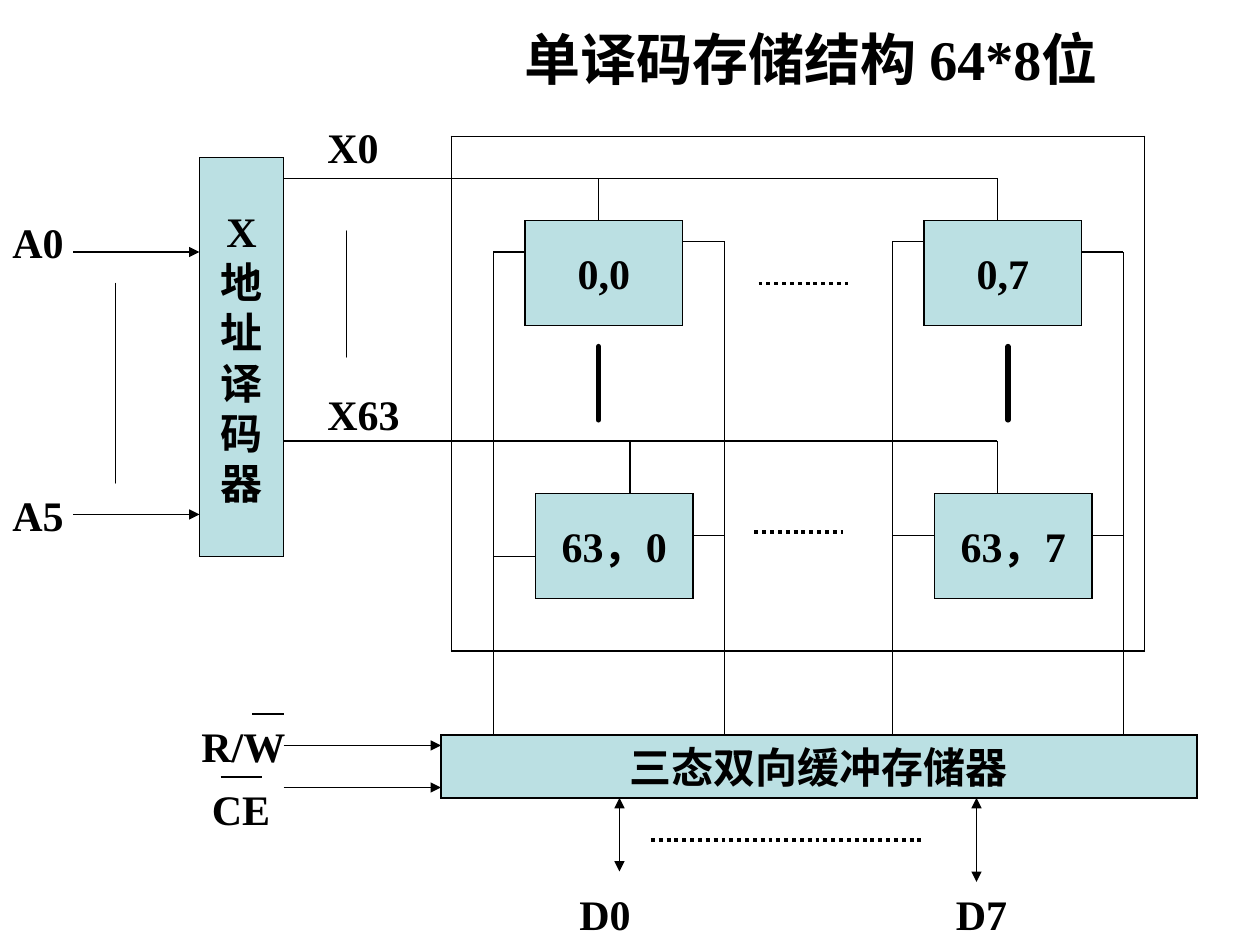
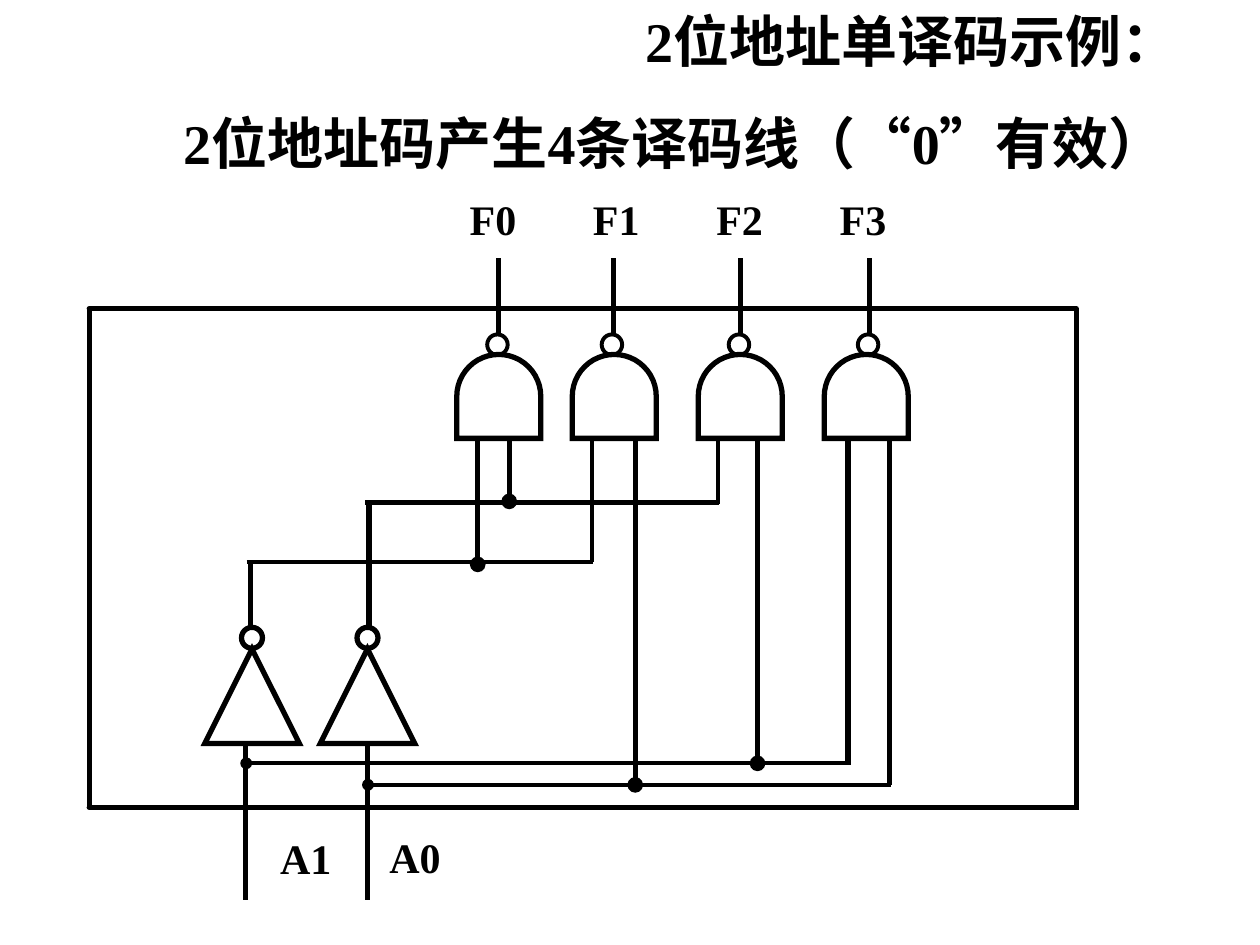
from lxml.etree import SubElement
from pptx import Presentation
from pptx.dml.color import RGBColor
from pptx.enum.lang import MSO_LANGUAGE_ID as LANGUAGE
from pptx.enum.shapes import MSO_CONNECTOR as CONNECTOR, MSO_SHAPE as SHAPE
from pptx.enum.text import MSO_ANCHOR as ANCHOR, PP_ALIGN as ALIGN
from pptx.oxml.ns import qn
from pptx.util import Cm, Pt

STEP = 2.54 / 12
INK = "000000"
PANEL = "BBE0E3"
FONT = "Times New Roman"
TITLE_SIZE = 32
LABEL_SIZE = 24
THIN, MEDIUM, THICK = 0.75, 2.25, 3


def grid(steps):
    """Turn steps of a twelfth of an inch into a length."""
    return Cm(steps * STEP)


def paint(color_format, color):
    """Apply a hex colour to a fill or font colour."""
    color_format.rgb = RGBColor.from_string(color)


def stroke(item, width, dash=None, head=None, tail=None):
    """Style an outline with a width, an optional dash and line ends."""
    item.line.fill.solid()
    paint(item.line.fill.fore_color, INK)
    item.line.width = Pt(width)
    line = item.element.spPr.find(qn("a:ln"))
    if dash == "beads":
        line.set("cap", "rnd")
        SubElement(SubElement(line, qn("a:custDash")), qn("a:ds"), d="1000", sp="1000")
    elif dash:
        SubElement(line, qn("a:prstDash"), val=dash)
    SubElement(line, qn("a:miter"), lim="800000")
    for tag, kind in (("a:headEnd", head), ("a:tailEnd", tail)):
        if kind:
            SubElement(line, qn(tag), type=kind)


def write(para, text, size):
    """Add one bold run to a paragraph."""
    span = para.add_run()
    span.text = text
    span.font.name = FONT
    span.font.size = Pt(size)
    span.font.bold = True
    span.font.language_id = LANGUAGE.SIMPLIFIED_CHINESE
    paint(span.font.color, INK)


def add_text(page, left, top, width, height, lines, size=LABEL_SIZE):
    """Add a text box from pairs of text and first-line indent."""
    box = page.shapes.add_textbox(*map(grid, (left, top, width, height)))
    frame = box.text_frame
    frame.word_wrap = True
    for number, (text, indent) in enumerate(lines):
        para = frame.add_paragraph() if number else frame.paragraphs[0]
        if number:
            para.space_before = Pt(20)
        if indent:
            para._p.get_or_add_pPr().set("indent", str(grid(indent)))
        write(para, text, size)


def add_label(page, left, top, text):
    """Add a one-line signal label."""
    add_text(page, left, top, 12, 6, [(text, 0)])


def add_outline(page, kind, left, top, width, height, weight=THICK, fill=None, dash=None):
    """Add a preset shape with an outline and an optional fill."""
    shape = page.shapes.add_shape(kind, *map(grid, (left, top, width, height)))
    shape.shadow.inherit = False
    if fill:
        shape.fill.solid()
        paint(shape.fill.fore_color, fill)
    else:
        shape.fill.background()
    stroke(shape, weight, dash)
    return shape


def add_block(page, left, top, width, height, *lines):
    """Add a filled block with centred lines of text."""
    block = add_outline(page, SHAPE.RECTANGLE, left, top, width, height, THIN, PANEL)
    frame = block.text_frame
    frame.word_wrap = False
    frame.vertical_anchor = ANCHOR.MIDDLE
    for number, text in enumerate(lines):
        para = frame.add_paragraph() if number else frame.paragraphs[0]
        para.alignment = ALIGN.CENTER
        write(para, text, LABEL_SIZE)


def add_wire(page, x1, y1, x2, y2, width=THIN, **style):
    """Draw a straight wire between two grid points."""
    wire = page.shapes.add_connector(CONNECTOR.STRAIGHT, *map(grid, (x1, y1, x2, y2)))
    stroke(wire, width, **style)
    SubElement(wire.element.spPr, qn("a:effectLst"))


def add_wires(page, wires, width=THIN, **style):
    """Draw several wires in the same style."""
    for points in wires:
        add_wire(page, *points, width, **style)


def build_storage(page):
    """Draw the single-decoder 64 by 8 storage structure."""
    add_text(page, 48.75, 1.75, 67.5, 7.75, [("单译码存储结构 64*8位", 0)], TITLE_SIZE)
    add_outline(page, SHAPE.RECTANGLE, 43, 13, 66, 49, THIN, dash="beads")

    for left, top, name in ((50, 21, "0,0"), (88, 21, "0,7"), (51, 47, "63，0"), (89, 47, "63，7")):
        add_block(page, left, top, 15, 10, name)
    add_block(page, 19, 15, 8, 38, *"X地址译码器")
    add_block(page, 42, 70, 72, 6, "三态双向缓冲存储器")

    row_lines = [(27, 17, 95, 17), (27, 42, 95, 42)]
    row_taps = [(57, 17, 57, 21), (95, 17, 95, 21), (60, 42, 60, 47), (95, 42, 95, 47)]
    column_lines = [(47, 24, 47, 70), (69, 23, 69, 70), (85, 23, 85, 70), (107, 24, 107, 70)]
    column_taps = [
        (47, 24, 50, 24), (65, 23, 69, 23), (85, 23, 88, 23), (103, 24, 107, 24),
        (47, 53, 51, 53), (66, 51, 69, 51), (85, 51, 89, 51), (104, 51, 107, 51),
    ]
    negation_bars = [(21, 74, 25, 74), (24, 68, 27, 68)]
    add_wires(page, row_lines + row_taps + column_lines + column_taps + negation_bars)

    inputs = [(7, 24, 19, 24), (7, 49, 19, 49), (27, 71, 42, 71), (27, 75, 42, 75)]
    add_wires(page, inputs, tail="triangle")
    data_lines = [(59, 83, 59, 76), (93, 84, 93, 76)]
    add_wires(page, data_lines, head="triangle", tail="triangle")

    add_wires(page, [(11, 27, 11, 46), (33, 22, 33, 34)], dash="beads")
    add_wires(page, [(57, 33, 57, 40), (96, 33, 96, 40)], THICK, dash="beads")
    more_columns = [(72.25, 27, 80.75, 27), (71.85, 50.65, 80.3, 50.65), (62, 80, 88, 80)]
    add_wires(page, more_columns, MEDIUM, dash="sysDot")

    for left, top, text in (
        (0, 20, "A0"), (0, 46, "A5"), (30, 11, "X0"), (30, 36.4, "X63"),
        (18, 68, "R/W"), (19, 74, "CE"), (54, 84, "D0"), (89.85, 84, "D7"),
    ):
        add_label(page, left, top, text)


def add_gate(page, left, stem, number):
    """Draw an inverting gate with its output line and label."""
    gate = add_outline(page, SHAPE.FLOWCHART_DELAY, left, 33.75, 8, 8)
    gate.rotation = 270
    add_wire(page, stem, 32, stem, 24.6, THICK)
    add_outline(page, SHAPE.OVAL, stem - 1.1, 31.85, 1.95, 1.95, MEDIUM)
    add_label(page, 43.55 + 11.75 * number, 17.8, f"F{number}")


def add_inverter(page, left):
    """Draw an inverter triangle with its bubble."""
    add_outline(page, SHAPE.FLOWCHART_EXTRACT, left, 61.8, 9, 9)
    add_outline(page, SHAPE.OVAL, left + 3.5, 59.75, 2, 2)


def build_decoder(page):
    """Draw the two-bit decoder example."""
    heading = [("2位地址单译码示例：", 56), ("2位地址码产生4条译码线（“0”有效）", 12)]
    add_text(page, 4.25, 0, 113.4, 17.4, heading, TITLE_SIZE)
    add_outline(page, SHAPE.RECTANGLE, 8.5, 29.4, 94, 47.5, dash="beads")

    gates = ((43.5, 47.5), (54.5, 58.4), (66.5, 70.5), (78.5, 82.8))
    for number, (left, stem) in enumerate(gates):
        add_gate(page, left, stem, number)
    for left in (19.5, 30.5):
        add_inverter(page, left)

    gate_foot, low_a1, low_a0 = 41.75, 72.7, 74.75
    add_wires(page, [
        (23.4, 85.7, 23.4, 70.7), (35, 85.7, 35, 70.7),
        (23.85, 59.65, 23.85, 53.6), (35.15, 59.75, 35.15, 47.8),
        (34.8, 47.85, 68.5, 47.85),
        (80.75, gate_foot, 80.75, low_a1), (84.7, gate_foot, 84.7, low_a0),
    ], THICK)
    add_wires(page, [
        (45.5, gate_foot, 45.5, 53.75), (48.5, gate_foot, 48.5, 47.75),
        (60.5, gate_foot, 60.5, low_a0), (72.15, gate_foot, 72.15, low_a1),
    ], THICK, tail="oval")
    add_wires(page, [
        (23.5, 53.5, 56.5, 53.5), (56.4, gate_foot, 56.4, 53.5),
        (68.4, gate_foot, 68.4, 48),
        (23.3, low_a1, 81, low_a1), (34.8, low_a0, 84.85, low_a0),
    ], MEDIUM)
    for left, level in ((22.95, low_a1), (34.55, low_a0)):
        add_outline(page, SHAPE.OVAL, left, level - 0.5, 1, 1, THIN, INK)

    add_label(page, 25.5, 78.7, "A1")
    add_label(page, 35.9, 78.6, "A0")


def main():
    """Build both slides and save the deck."""
    deck = Presentation()
    deck.slide_width, deck.slide_height = Cm(25.4), Cm(19.05)
    for build in (build_storage, build_decoder):
        build(deck.slides.add_slide(deck.slide_layouts[6]))
    deck.save("out.pptx")


if __name__ == "__main__":
    main()
